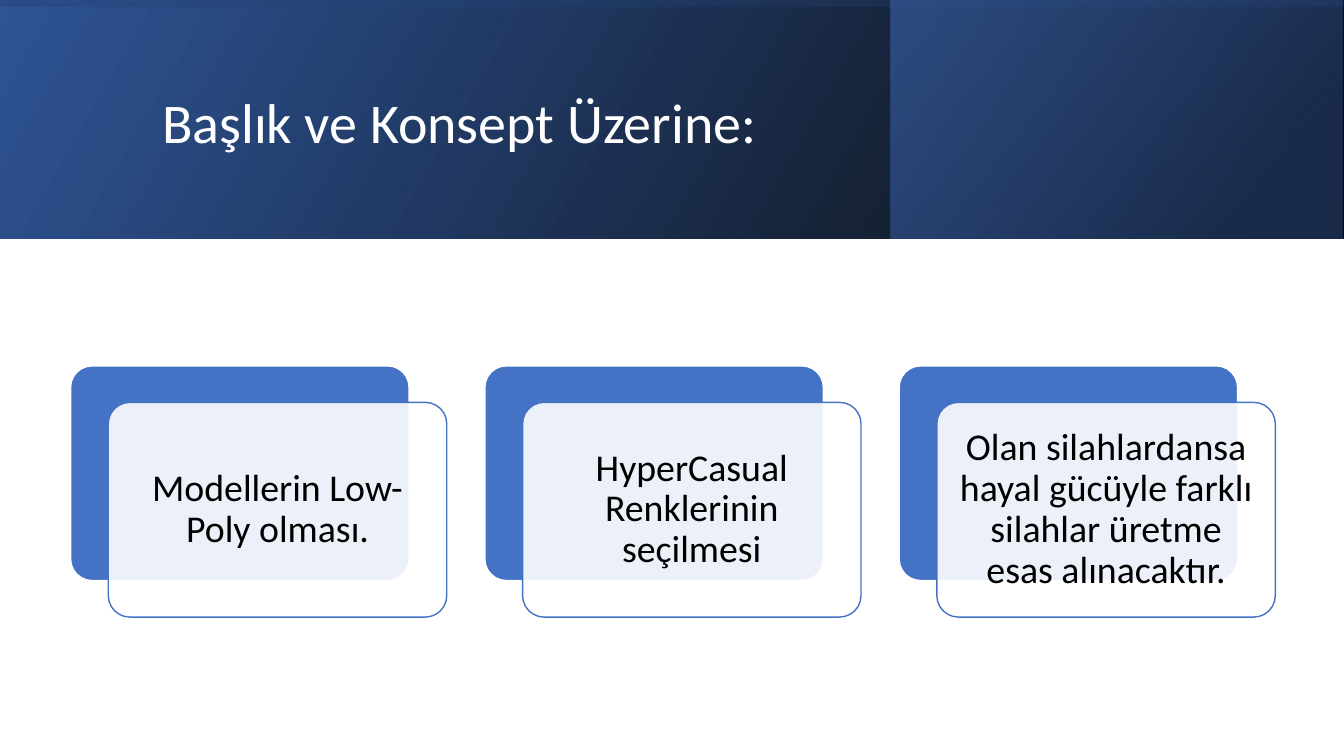
from pptx import Presentation
from pptx.dml.color import RGBColor
from pptx.enum.shapes import MSO_SHAPE
from pptx.enum.text import MSO_ANCHOR, PP_ALIGN
from pptx.oxml import parse_xml
from pptx.oxml.ns import nsdecls, qn
from pptx.util import Cm, Pt
from lxml.etree import SubElement

COLORS = {
    "white": "FFFFFF",
    "black": "000000",
    "blue": "4472C4",
    "deep": "2F5597",
    "navy": "203864",
}
SLIDE_W, SLIDE_H, BAND_H = 33.87, 19.05, 6.02
CARD_W, CARD_H = 8.53, 5.41
CARD_LEFT, CARD_TOP, CARD_PITCH = 1.78, 9.22, 10.44
SHIFT_X, SHIFT_Y, TEXT_GAP = 0.95, 0.92, 0.16
CONCEPTS = [
    "Modellerin Low-Poly olması.",
    "HyperCasual Renklerinin seçilmesi",
    "Olan silahlardansa hayal gücüyle farklı silahlar üretme esas alınacaktır.",
]


def rgb(name):
    return RGBColor.from_string(COLORS[name])


class Deck:
    """Holds the style and the current slide, and draws each kind of element."""

    font = "Calibri"

    def __init__(self, slide):
        self.slide = slide

    def shape(self, kind, left, top, width, height):
        shape = self.slide.shapes.add_shape(kind, Cm(left), Cm(top), Cm(width), Cm(height))
        shape.shadow.inherit = False
        return shape

    def gradient(self, left, top, width, height, stops, angle, rotation=0):
        panel = self.shape(MSO_SHAPE.RECTANGLE, left, top, width, height)
        panel.rotation = rotation
        panel.line.fill.background()
        properties = panel._element.spPr
        properties.find(qn("a:xfrm")).set("flipH", "1")
        marks = "".join(
            f'<a:gs pos="{position * 1000}"><a:srgbClr val="{COLORS[color]}">'
            f'<a:alpha val="{opacity * 1000}"/></a:srgbClr></a:gs>'
            for position, color, opacity in stops
        )
        properties.insert(2, parse_xml(
            f'<a:gradFill {nsdecls("a")} rotWithShape="1"><a:gsLst>{marks}</a:gsLst>'
            f'<a:lin ang="{angle * 60000}" scaled="0"/></a:gradFill>'
        ))

    def card(self, left, top, fill, line, opacity=100):
        card = self.shape(MSO_SHAPE.ROUNDED_RECTANGLE, left, top, CARD_W, CARD_H)
        card.adjustments[0] = 0.1
        card.fill.solid()
        card.fill.fore_color.rgb = rgb(fill)
        card.line.color.rgb = rgb(line)
        card.line.width = Pt(1)
        if opacity < 100:
            color = card._element.spPr.find(qn("a:solidFill"))[0]
            SubElement(color, qn("a:alpha")).set("val", str(opacity * 1000))

    def text(self, words, left, top, width, height, *, size, color,
             align=PP_ALIGN.LEFT, inset=(0.25, 0.13)):
        box = self.slide.shapes.add_textbox(Cm(left), Cm(top), Cm(width), Cm(height))
        frame = box.text_frame
        frame.word_wrap = True
        frame.vertical_anchor = MSO_ANCHOR.MIDDLE
        frame.margin_left = frame.margin_right = Cm(inset[0])
        frame.margin_top = frame.margin_bottom = Cm(inset[1])
        paragraph = frame.paragraphs[0]
        paragraph.alignment = align
        paragraph.line_spacing = 0.9
        run = paragraph.add_run()
        run.text = words
        run.font.name = self.font
        run.font.size = Pt(size)
        run.font.color.rgb = rgb(color)


def main():
    presentation = Presentation()
    presentation.slide_width, presentation.slide_height = Cm(SLIDE_W), Cm(SLIDE_H)
    deck = Deck(presentation.slides.add_slide(presentation.slide_layouts[6]))

    deck.gradient(0, 0, SLIDE_W, BAND_H, [(0, "black", 96), (100, "deep", 100)], 330)
    deck.gradient(22.45, 0, 11.39, BAND_H, [(19, "navy", 68), (100, "blue", 48)], 320)
    turn = (SLIDE_W - BAND_H) / 2
    deck.gradient(turn, -turn, BAND_H, SLIDE_W,
                  [(23, "deep", 16), (99, "black", 45)], 350, rotation=270)
    deck.text("Başlık ve Konsept Üzerine:", 3.84, 0.97, 27, 4.37, size=40, color="white")

    for index, concept in enumerate(CONCEPTS):
        left = CARD_LEFT + index * CARD_PITCH
        front_left, front_top = left + SHIFT_X, CARD_TOP + SHIFT_Y
        deck.card(left, CARD_TOP, "blue", "white")
        deck.card(front_left, front_top, "white", "blue", opacity=90)
        deck.text(concept, front_left + TEXT_GAP, front_top + TEXT_GAP,
                  CARD_W - 2 * TEXT_GAP, CARD_H - 2 * TEXT_GAP, size=27, color="black",
                  align=PP_ALIGN.CENTER, inset=(0.28, 0.28))

    presentation.save("out.pptx")


if __name__ == "__main__":
    main()
